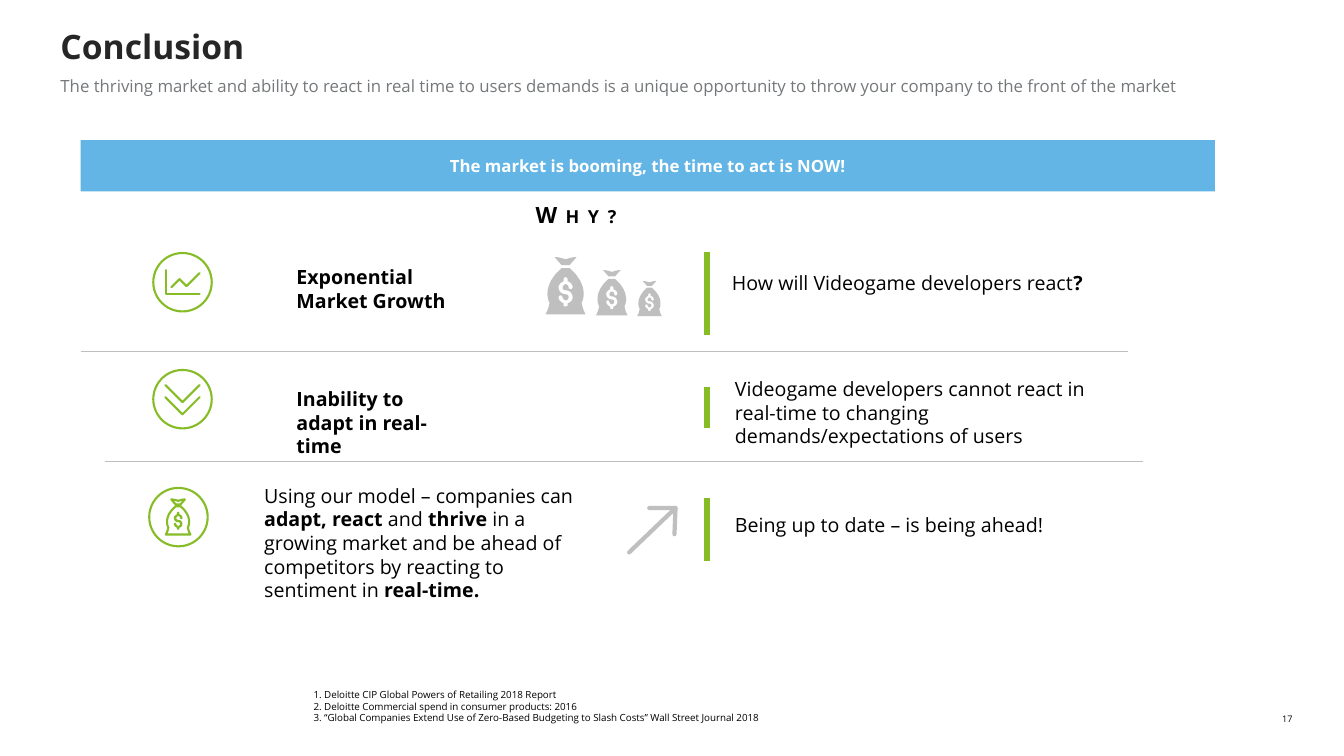
from pptx import Presentation
from pptx.dml.color import RGBColor
from pptx.enum.shapes import MSO_CONNECTOR, MSO_SHAPE
from pptx.enum.text import MSO_ANCHOR, PP_ALIGN
from pptx.oxml import parse_xml
from pptx.oxml.ns import nsdecls
from pptx.util import Emu, Inches, Pt

BLACK = RGBColor(0x00, 0x00, 0x00)
WHITE = RGBColor(0xFF, 0xFF, 0xFF)
INK = RGBColor(0x26, 0x26, 0x26)
SLATE = RGBColor(0x75, 0x78, 0x7B)
SILVER = RGBColor(0xBF, 0xBF, 0xBF)
BLUE = RGBColor(0x62, 0xB5, 0xE5)
GREEN = RGBColor(0x86, 0xBC, 0x25)

# Outlines in a 40 x 57 box: a pair is a point, a six is a Bézier curve.
BAG_TIE = [(24, 8), (31, 0), (30, 0, 27, 0, 21, 2), (20.5, 2.3, 19.5, 2.3, 19, 2),
           (13, 0, 10, 0, 9, 0), (16, 8)]
BAG_BODY = [(36, 45), (37, 44, 44, 28, 24, 11), (16, 11), (-4, 28, 3, 44, 4, 45),
            (4, 48, 2, 54, 0, 57), (40, 57), (38, 54, 36, 48, 36, 45)]
DOLLAR = [(20, 33), (24, 33, 27, 36, 27, 40), (27, 43, 25, 45, 22, 46), (22, 48),
          (22, 49, 21, 49, 20, 49), (19, 49, 18, 49, 18, 48), (18, 46),
          (16, 45, 13, 43, 13, 40), (13, 39, 14, 38, 15, 38), (16, 38, 17, 39, 17, 40),
          (17, 41, 19, 43, 20, 43), (22, 43, 23, 41, 23, 40), (23, 38, 22, 37, 20, 37),
          (16, 37, 13, 34, 13, 30), (13, 27, 16, 25, 18, 24), (18, 22),
          (18, 21, 19, 20, 20, 20), (21, 20, 22, 21, 22, 22), (22, 24),
          (25, 25, 27, 27, 27, 30), (27, 31, 26, 32, 25, 32), (24, 32, 23, 31, 23, 30),
          (23, 29, 22, 27, 20, 27), (19, 27, 17, 29, 17, 30), (17, 32, 18, 33, 20, 33)]


def flatten(outline, steps=8):
    """Turn an outline of points and Bézier curves into points only."""
    points = []
    for seg in outline:
        if len(seg) == 2:
            points.append(seg)
            continue
        ctrl = [points[-1], seg[:2], seg[2:4], seg[4:]]
        for i in range(1, steps + 1):
            t = i / steps
            weights = ((1 - t) ** 3, 3 * t * (1 - t) ** 2, 3 * t * t * (1 - t), t ** 3)
            points.append(tuple(sum(w * c[k] for w, c in zip(weights, ctrl)) for k in (0, 1)))
    return points


class SlideKit:
    """Places elements on a grid whose columns and rows are 0.1 inch apart."""
    font = "Open Sans"
    cell = Inches(0.1)

    def __init__(self, prs):
        self.slide = prs.slides.add_slide(prs.slide_layouts[5])
        self.shapes = self.slide.shapes

    def at(self, *cells):
        return [Emu(round(c * self.cell)) for c in cells]

    def set_text(self, sp, paragraphs, size, color, align=PP_ALIGN.LEFT, anchor=MSO_ANCHOR.TOP):
        """Fill a shape; each paragraph is a list of (text, bold) runs."""
        tf = sp.text_frame
        tf.word_wrap = True
        tf.vertical_anchor = anchor
        tf.margin_left = tf.margin_right = tf.margin_top = tf.margin_bottom = 0
        for i, runs in enumerate(paragraphs):
            p = tf.add_paragraph() if i else tf.paragraphs[0]
            p.alignment = align
            for text, bold in runs:
                r = p.add_run()
                r.text = text
                r.font.name, r.font.size, r.font.bold = self.font, Pt(size), bold
                r.font.color.rgb = color
        return sp

    def title(self, box, text):
        sp = self.shapes.title
        sp.left, sp.top, sp.width, sp.height = self.at(*box)
        self.set_text(sp, [[(text, True)]], 24, INK)

    def text(self, box, *paragraphs, size=14, color=BLACK, align=PP_ALIGN.LEFT):
        return self.set_text(self.shapes.add_textbox(*self.at(*box)), paragraphs, size, color, align)

    def banner(self, box, text):
        sp = self.shapes.add_shape(MSO_SHAPE.RECTANGLE, *self.at(*box))
        self.paint(sp, fill=BLUE)
        self.set_text(sp, [[(text, True)]], 12, WHITE, PP_ALIGN.CENTER, MSO_ANCHOR.MIDDLE)

    def paint(self, sp, fill=None, line=None, width=1.5):
        sp.shadow.inherit = False
        for part, color in ((sp.fill, fill), (sp.line.fill, line)):
            if color is None:
                part.background()
            else:
                part.solid()
                part.fore_color.rgb = color
        if line is not None:
            sp.line.width = Pt(width)

    def rule(self, x1, y1, x2, y2, color, width):
        cx = self.shapes.add_connector(MSO_CONNECTOR.STRAIGHT, *self.at(x1, y1, x2, y2))
        cx.line.color.rgb, cx.line.width = color, Pt(width)
        cx._element.spPr.append(parse_xml(f"<a:effectLst {nsdecls('a')}/>"))

    def freeform(self, x, y, scale, *outlines, closed=True, **style):
        """Draw outlines from corner (x, y); scale is cells per outline unit."""
        fb = None
        for outline in outlines:
            pts = [self.at(x + px * scale, y + py * scale) for px, py in flatten(outline)]
            if fb is None:
                fb = self.shapes.build_freeform(*pts[0], scale=1.0)
            else:
                fb.move_to(*pts[0])
            fb.add_line_segments(pts[1:], close=closed)
        sp = fb.convert_to_shape()
        self.paint(sp, **style)
        if not closed:
            sp.line._get_or_add_ln().set("cap", "rnd")

    def stroke(self, x, y, *outlines, color=GREEN, width=1.5):
        self.freeform(x, y, 1, *outlines, closed=False, line=color, width=width)

    def ring(self, x, y, size=5.8):
        self.paint(self.shapes.add_shape(MSO_SHAPE.OVAL, *self.at(x, y, size, size)), line=GREEN)


def main():
    prs = Presentation()
    prs.slide_width, prs.slide_height = Inches(13.33), Inches(7.5)
    s = SlideKit(prs)

    s.title((6, 2.6, 124.6, 4), "Conclusion")
    s.text((6, 7.5, 124.6, 5), [("The thriving market and ability to react in real time to users demands is a "
           "unique opportunity to throw your company to the front of the market", False)],
           size=12, color=SLATE)
    s.banner((8, 13.9, 112.5, 5.1), "The market is booming, the time to act is NOW!")

    why = s.text((30.3, 20, 57, 2.7), [("Why?", True)], size=16, align=PP_ALIGN.CENTER)
    rPr = why.text_frame.paragraphs[0].runs[0].font._element
    rPr.set("cap", "small")
    rPr.set("spc", "600")

    reasons = [
        ((29.4, 26.3, 15.6, 4.7), [("Exponential Market Growth", True)]),
        ((29.4, 38.4, 16.8, 4.7), [("Inability to adapt in real- time", True)]),
        ((26.2, 48, 32.2, 11.8), [
            ("Using our model – companies can ", False), ("adapt, react ", True), ("and ", False),
            ("thrive ", True), ("in a growing market and be ahead of competitors by reacting to "
                                "sentiment in ", False), ("real-time.", True)]),
        ((72.6, 26.9, 40.8, 2.4), [("How will Videogame developers react", False), ("?", True)]),
        ((72.9, 37.4, 39, 7.1), [("Videogame developers cannot react in real-time to changing "
                                  "demands/expectations of users", False)]),
        ((72.9, 50.9, 40.7, 2.4), [("Being up to date – is being ahead!", False)]),
    ]
    for box, runs in reasons:
        s.text(box, runs)

    for left, right, y in ((8, 111.9, 34.9), (10.4, 113.4, 45.8)):
        s.rule(left, y, right, y, SILVER, 0.75)
    for top, bottom in ((25, 33.2), (38.4, 42.5), (49.4, 55.7)):
        s.rule(70.1, top, 70.1, bottom, GREEN, 4.5)

    for x, y in ((15.2, 25.1), (15.2, 36.7), (14.8, 48.4)):
        s.ring(x, y)
    s.stroke(16.5, 26.8, [(0, 0), (0, 2.4), (3.3, 2.4)])
    s.stroke(17, 27.1, [(0, 1.4), (0.8, 0.6), (1.5, 1.3), (2.8, 0)])
    chevron = [(0, 0), (1.7, 1.7), (3.4, 0)]
    for y in (38.2, 39.4):
        s.stroke(16.4, y, chevron)
    bag = (16.45, 49.55, 0.061)
    s.freeform(*bag, BAG_TIE, BAG_BODY, line=GREEN)
    s.freeform(*bag, DOLLAR, fill=GREEN)

    for x, bottom, scale in ((54.1, 31.2, 0.1), (59.1, 31.3, 0.079), (63.2, 31.35, 0.061)):
        s.freeform(x, bottom - 57 * scale, scale, BAG_TIE, BAG_BODY, DOLLAR, fill=SILVER)
    s.stroke(62.4, 50.4, [(0, 4.4), (4.6, 0)], [(2, 0), (4.6, 0), (4.5, 2.6)],
             color=SILVER, width=3)

    sources = ("1. Deloitte CIP Global Powers of Retailing 2018 Report",
               "2. Deloitte Commercial spend in consumer products: 2016",
               "3. “Global Companies Extend Use of Zero-Based Budgeting to Slash Costs” "
               "Wall Street Journal 2018")
    s.text((31.1, 68.3, 52.4, 3.5), *[[(source, False)] for source in sources], size=7)
    s.text((124.8, 70.8, 3.4, 1.1), [("17", False)], size=6.5, align=PP_ALIGN.RIGHT)
    prs.save("out.pptx")


if __name__ == "__main__":
    main()
